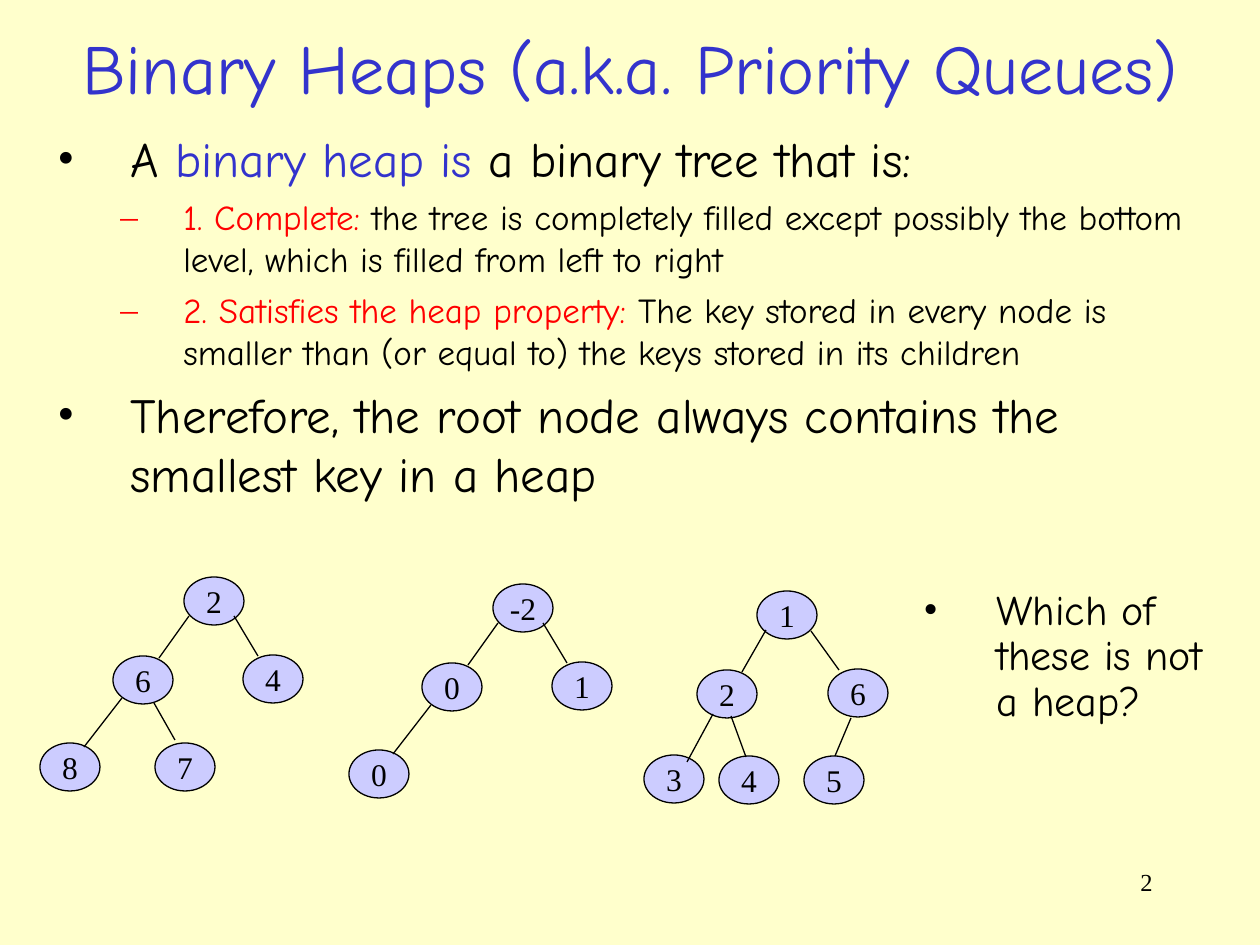
from lxml import etree
from pptx import Presentation
from pptx import util as u
from pptx.dml.color import RGBColor
from pptx.enum import shapes, text
from pptx.oxml.ns import qn

PX = 914400 / 126
COLORS = {"paper": "FFFFCC", "ink": "000000", "blue": "3333CC",
          "red": "FF0000", "node": "CCCCFF"}
HAND, SERIF = "Comic Neue", "Times New Roman"
NODE_W, NODE_H = 60, 48

BULLET = {"char": "•", "color": "ink", "indent": 73, "hang": 73}
DASH = {"char": "–", "color": "red", "indent": 126, "hang": 63, "level": 1}

# Node corners in level order, then edges as x1, y1, x2, y2
FIVE_NODES = [(184, 577), (113, 656), (243, 655), (40, 743), (155, 743)]
FIVE_EDGES = [(189, 616, 159, 658), (234, 616, 258, 656),
              (122, 698, 84, 747), (154, 703, 175, 740)]
SIX_NODES = [(757, 591), (697, 670), (828, 669), (644, 755), (719, 756), (804, 756)]
SIX_EDGES = [(766, 630, 742, 672), (811, 631, 839, 670), (713, 714, 687, 762),
             (731, 716, 746, 757), (851, 718, 835, 756)]


def rgb(name):
    return RGBColor.from_string(COLORS[name])


def emu(*lengths):
    return [u.Emu(round(n * PX)) for n in lengths]


class Deck:
    def __init__(self):
        self.prs = Presentation()
        self.prs.slide_width, self.prs.slide_height = u.Inches(10), u.Inches(7.5)
        self.s = self.prs.slides.add_slide(self.prs.slide_layouts[5])
        fill = self.s.background.fill
        fill.solid()
        fill.fore_color.rgb = rgb("paper")

    def frame(self, sp, **fmt):
        tf = sp.text_frame
        fmt = {"word_wrap": True, "auto_size": text.MSO_AUTO_SIZE.NONE,
               "vertical_anchor": text.MSO_ANCHOR.TOP, **fmt}
        for name, value in fmt.items():
            setattr(tf, name, value)
        return tf

    def paragraph(self, p, runs, size, font=HAND, bullet=None, **fmt):
        """Fill a paragraph with (words, colour) runs."""
        for name, value in fmt.items():
            setattr(p, name, value)
        for words, color in runs:
            r = p.add_run()
            r.text = words
            r.font.size, r.font.name = u.Pt(size), font
            r.font.color.rgb = rgb(color)
        if bullet:
            self.bullet(p, **bullet)

    def bullet(self, p, char, color, indent, hang, level=0):
        p.level = level
        pPr = p._p.get_or_add_pPr()
        pPr.set("marL", str(emu(indent)[0]))
        pPr.set("indent", str(emu(-hang)[0]))
        clr = etree.SubElement(pPr, qn("a:buClr"))
        etree.SubElement(clr, qn("a:srgbClr"), val=COLORS[color])
        etree.SubElement(pPr, qn("a:buFont"), typeface=SERIF)
        etree.SubElement(pPr, qn("a:buChar"), char=char)

    def title(self, box, words):
        sp = self.s.shapes.title
        sp.left, sp.top, sp.width, sp.height = emu(*box)
        tf = self.frame(sp, vertical_anchor=text.MSO_ANCHOR.MIDDLE)
        self.paragraph(tf.paragraphs[0], [(words, "blue")], 40,
                       alignment=text.PP_ALIGN.CENTER)

    def textbox(self, box, paragraphs):
        """Add a text box from a list of keyword dicts for paragraph()."""
        tf = self.frame(self.s.shapes.add_textbox(*emu(*box)))
        for i, fmt in enumerate(paragraphs):
            p = tf.add_paragraph() if i else tf.paragraphs[0]
            self.paragraph(p, **fmt)

    def node(self, x, y, key):
        sp = self.s.shapes.add_shape(shapes.MSO_SHAPE.OVAL,
                                     *emu(x, y, NODE_W, NODE_H))
        sp.shadow.inherit = False
        sp.fill.solid()
        sp.fill.fore_color.rgb = rgb("node")
        sp.line.color.rgb, sp.line.width = rgb("ink"), u.Pt(0.75)
        tf = self.frame(sp, word_wrap=False, vertical_anchor=text.MSO_ANCHOR.MIDDLE)
        self.paragraph(tf.paragraphs[0], [(key, "ink")], 18, SERIF,
                       alignment=text.PP_ALIGN.CENTER)

    def edge(self, x1, y1, x2, y2):
        line = self.s.shapes.add_connector(shapes.MSO_CONNECTOR.STRAIGHT,
                                           *emu(x1, y1, x2, y2))
        line.line.color.rgb, line.line.width = rgb("ink"), u.Pt(0.75)
        etree.SubElement(line._element.spPr, qn("a:effectLst"))

    def tree(self, keys, nodes, edges, dx=0, dy=0):
        """Draw as many nodes as there are keys, moved by dx, dy."""
        for key, (x, y) in zip(keys, nodes):
            self.node(x + dx, y + dy, key)
        for x1, y1, x2, y2 in edges[:len(keys) - 1]:
            self.edge(x1 + dx, y1 + dy, x2 + dx, y2 + dy)


def main():
    deck = Deck()
    deck.title((10, 19, 1240, 96), "Binary Heaps (a.k.a. Priority Queues)")
    main_point = {"size": 28, "bullet": BULLET, "space_before": u.Pt(7)}
    sub_point = {"size": 20, "bullet": DASH, "space_before": u.Pt(5)}
    deck.textbox((45, 122, 1157, 399), [
        {"runs": [("A ", "ink"), ("binary heap is", "blue"),
                  (" a binary tree that is:", "ink")], **main_point},
        {"runs": [("1. Complete: ", "red"),
                  ("the tree is completely filled except possibly the bottom "
                   "level, which is filled from left to right", "ink")], **sub_point},
        {"runs": [("2. Satisfies the heap property: ", "red"),
                  ("The key stored in every node is smaller than (or equal to) "
                   "the keys stored in its children", "ink")], **sub_point},
        {"runs": [("Therefore, the root node always contains the smallest key "
                   "in a heap", "ink")], **main_point},
    ])
    deck.tree(["2", "6", "4", "8", "7"], FIVE_NODES, FIVE_EDGES)
    deck.tree(["-2", "0", "1", "0"], FIVE_NODES, FIVE_EDGES, dx=309, dy=7)
    deck.tree(["1", "2", "6", "3", "4", "5"], SIX_NODES, SIX_EDGES)
    deck.textbox((911, 583, 318, 236), [
        {"runs": [("Which of these is not a heap?", "ink")], "size": 24,
         "bullet": BULLET, "space_before": u.Pt(6), "line_spacing": 0.9}])
    deck.textbox((903, 861, 262, 63), [
        {"runs": [("2", "ink")], "size": 14, "font": SERIF,
         "alignment": text.PP_ALIGN.RIGHT}])
    deck.prs.save("out.pptx")


if __name__ == "__main__":
    main()
